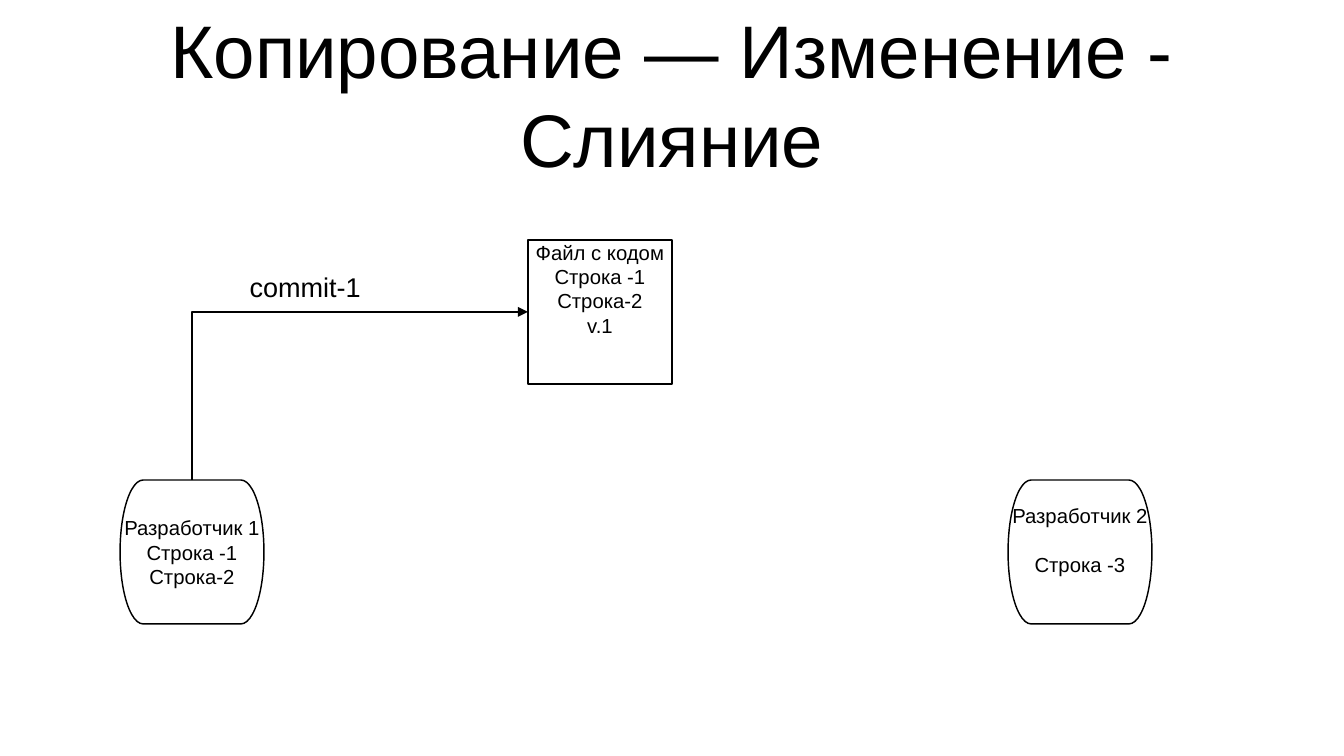
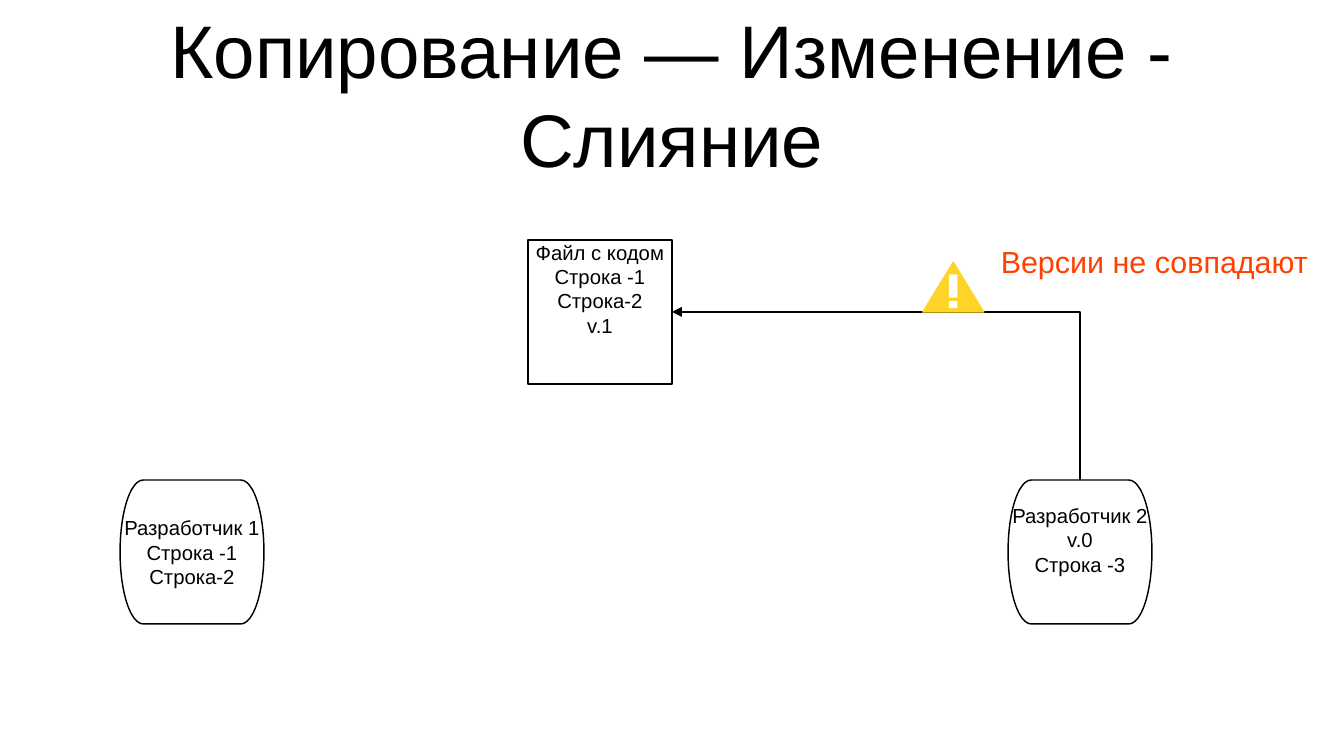
"""Build two slides on the copy, modify, merge model of version control."""
from dataclasses import dataclass

from lxml import etree
from pptx import Presentation
from pptx.dml.color import RGBColor
from pptx.enum import shapes, text
from pptx.oxml import ns
from pptx.util import Pt


@dataclass(frozen=True)
class Theme:
    font: str = "Arial"
    ink: str = "000000"
    paper: str = "FFFFFF"
    alert: str = "FF4000"
    warning: str = "FFD428"
    title_size: float = 44
    alert_size: float = 18
    label_size: float = 16
    body_size: float = 12
    body_line: float = 14.3
    line_width: float = 0.85
    box_side: float = 85


THEME = Theme()
TOP, LEFT, RIGHT = 0, 1, 3
FILE_TOP, DEVELOPER_TOP = 141.7, 283.5
FILE_LEFT, FIRST_LEFT, SECOND_LEFT = 311.8, 70.9, 595.3
TITLE = "Копирование — Изменение - Слияние"


def write_text(shape, lines, size=THEME.body_size, color=THEME.ink, align="CENTER",
               anchor="MIDDLE", insets=(0, 0, 0, 0), wrap=False, grow=False, last_gap=0):
    """Write one paragraph per line; insets run left, top, right, bottom."""
    frame = shape.text_frame
    frame.word_wrap = wrap
    frame.auto_size = text.MSO_AUTO_SIZE.SHAPE_TO_FIT_TEXT if grow else text.MSO_AUTO_SIZE.NONE
    frame.vertical_anchor = text.MSO_ANCHOR[anchor]
    (frame.margin_left, frame.margin_top,
     frame.margin_right, frame.margin_bottom) = map(Pt, insets)
    for index, line in enumerate(lines):
        paragraph = frame.paragraphs[0] if index == 0 else frame.add_paragraph()
        paragraph.alignment = text.PP_ALIGN[align]
        run = paragraph.add_run()
        run.text = line
        run.font.name = THEME.font
        run.font.size = Pt(size)
        run.font.color.rgb = RGBColor.from_string(color)
    if last_gap:
        frame.paragraphs[-1].space_before = Pt(last_gap)


def add_text(slide, bounds, line, **text_format):
    """Add a text box holding one line of text."""
    box = slide.shapes.add_textbox(*map(Pt, bounds))
    write_text(box, [line], grow=True, **text_format)


def add_label(slide, bounds, line, **text_format):
    """Add a left-aligned label beside an arrow."""
    add_text(slide, bounds, line, align="LEFT", anchor="TOP",
             insets=(7.2, 0.7, 7.2, 3.6), **text_format)


def add_filled(container, kind, bounds, fill, line=None, width=THEME.line_width):
    """Add a preset shape with a plain fill and an optional outline."""
    shape = container.shapes.add_shape(shapes.MSO_SHAPE[kind], *map(Pt, bounds))
    shape.shadow.inherit = False
    shape.fill.solid()
    shape.fill.fore_color.rgb = RGBColor.from_string(fill)
    if line:
        shape.line.color.rgb = RGBColor.from_string(line)
        shape.line.width = Pt(width)
    else:
        shape.line.fill.background()
    return shape


def add_box(slide, kind, left, top, lines, **text_format):
    """Add an outlined square box with centred lines."""
    bounds = (left, top, THEME.box_side, THEME.box_side)
    box = add_filled(slide, kind, bounds, THEME.paper, THEME.ink)
    write_text(box, lines, **text_format)
    return box


def add_commit_arrow(slide, file_box, side, developer):
    """Join a file's side to a developer's top, with the arrowhead at the file."""
    connector = slide.shapes.add_connector(shapes.MSO_CONNECTOR.ELBOW, 0, 0, 0, 0)
    connector.begin_connect(file_box, side)
    connector.end_connect(developer, TOP)
    connector.line.color.rgb = RGBColor.from_string(THEME.ink)
    connector.line.width = Pt(THEME.line_width)
    properties = connector._element.spPr
    properties.find(ns.qn("a:prstGeom")).set("prst", "bentConnector2")
    outline = properties.find(ns.qn("a:ln"))
    etree.SubElement(outline, ns.qn("a:headEnd"), type="triangle")
    etree.SubElement(properties, ns.qn("a:effectLst"))


def add_warning_sign(slide):
    """Add a grouped triangle with an exclamation mark."""
    sign = slide.shapes.add_group_shape()
    add_filled(sign, "ISOSCELES_TRIANGLE", (545, 154.8, 36, 29.5),
               THEME.warning, THEME.warning, 0.79)
    for top, height in ((162, 13.8), (177.8, 4.2)):
        add_filled(sign, "RECTANGLE", (560.4, top, 5, height), THEME.paper)


def add_diagram(presentation, second_lines, last_gap=0):
    """Add a slide with its title, file and two developers."""
    slide = presentation.slides.add_slide(presentation.slide_layouts[6])
    add_text(slide, (39.7, 5.9, 714.3, 98.6), TITLE, size=THEME.title_size, wrap=True)
    file_box = add_box(slide, "FLOWCHART_PROCESS", FILE_LEFT, FILE_TOP,
                       ["Файл с кодом", "Строка -1", "Строка-2", "v.1"], anchor="TOP")
    first = add_box(slide, "FLOWCHART_TERMINATOR", FIRST_LEFT, DEVELOPER_TOP,
                    ["Разработчик 1", "Строка -1", "Строка-2"])
    second = add_box(slide, "FLOWCHART_TERMINATOR", SECOND_LEFT, DEVELOPER_TOP,
                     second_lines, insets=(0, 0, 0, THEME.body_line), last_gap=last_gap)
    return slide, file_box, first, second


def add_first_commit(presentation):
    """Add the slide where the first developer commits."""
    slide, file_box, first, _ = add_diagram(
        presentation, ["Разработчик 2", "Строка -3"], last_gap=THEME.body_line)
    add_commit_arrow(slide, file_box, LEFT, first)
    add_label(slide, (140.4, 159.3, 80, 22.5), "commit-1", size=THEME.label_size)


def add_version_conflict(presentation):
    """Add the slide where the second developer's version does not match."""
    slide, file_box, _, second = add_diagram(
        presentation, ["Разработчик 2", "v.0", "Строка -3"])
    add_commit_arrow(slide, file_box, RIGHT, second)
    add_warning_sign(slide)
    add_label(slide, (583.9, 142.6, 195.8, 24.7), "Версии не совпадают",
              size=THEME.alert_size, color=THEME.alert)


def main():
    """Build and save the presentation."""
    presentation = Presentation()
    presentation.slide_width = Pt(793.7)
    presentation.slide_height = Pt(446.5)
    add_first_commit(presentation)
    add_version_conflict(presentation)
    presentation.save("out.pptx")


if __name__ == "__main__":
    main()
